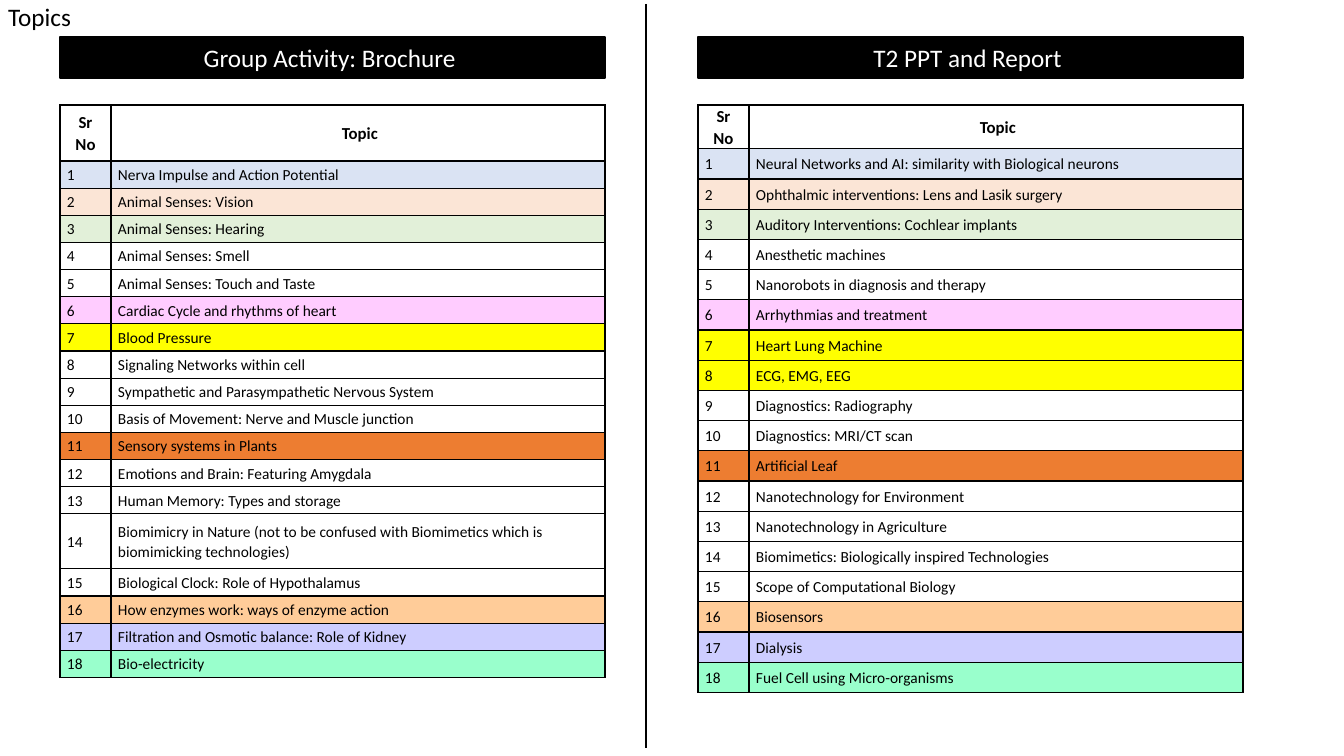
import pptx
import pptx.util
import pptx.dml.color
import pptx.enum.text
import pptx.enum.shapes
import pptx.oxml
import pptx.oxml.ns

RGB = pptx.dml.color.RGBColor
ALIGN = pptx.enum.text.PP_ALIGN
ANCHOR = pptx.enum.text.MSO_ANCHOR
BLACK = RGB(0x00, 0x00, 0x00)
WHITE = RGB(0xFF, 0xFF, 0xFF)
BLUE = RGB(0xDA, 0xE3, 0xF3)
PEACH = RGB(0xFB, 0xE5, 0xD6)
GREEN = RGB(0xE2, 0xF0, 0xD9)
PINK = RGB(0xFF, 0xCC, 0xFF)
YELLOW = RGB(0xFF, 0xFF, 0x00)
ORANGE = RGB(0xED, 0x7D, 0x31)
SAND = RGB(0xFF, 0xCC, 0x99)
LILAC = RGB(0xCD, 0xCD, 0xFF)
MINT = RGB(0x99, 0xFF, 0xCC)

TITLE = "Topics"
HEADS = ("Sr No", " Topic")
FILLS = {1: BLUE, 2: PEACH, 3: GREEN, 6: PINK, 7: YELLOW, 11: ORANGE,
         16: SAND, 17: LILAC, 18: MINT}
PANELS = [
    dict(name="Group Activity: Brochure ", left=60, height=573, head=56,
         tall={14: 55}, fills=FILLS, topics=[
             "Nerva Impulse and Action Potential",
             "Animal Senses: Vision",
             "Animal Senses: Hearing",
             "Animal Senses: Smell",
             "Animal Senses: Touch and Taste",
             "Cardiac Cycle and rhythms of heart",
             "Blood Pressure",
             "Signaling Networks within cell",
             "Sympathetic and Parasympathetic Nervous System",
             "Basis of Movement: Nerve and Muscle junction",
             "Sensory systems in Plants",
             "Emotions and Brain: Featuring Amygdala",
             "Human Memory: Types and storage",
             "Biomimicry in Nature (not to be confused with Biomimetics "
             "which is biomimicking technologies)",
             "Biological Clock: Role of Hypothalamus",
             "How enzymes work: ways of enzyme action",
             "Filtration and Osmotic balance: Role of Kidney",
             "Bio-electricity"]),
    dict(name="T2 PPT and Report ", left=698, height=586, head=42,
         tall={}, fills={**FILLS, 8: YELLOW}, topics=[
             "Neural Networks and AI: similarity with Biological neurons",
             "Ophthalmic interventions: Lens and Lasik surgery",
             "Auditory Interventions: Cochlear implants",
             "Anesthetic machines",
             "Nanorobots in diagnosis and therapy",
             "Arrhythmias and treatment",
             "Heart Lung Machine",
             "ECG, EMG, EEG",
             "Diagnostics: Radiography",
             "Diagnostics: MRI/CT scan",
             "Artificial Leaf",
             "Nanotechnology for Environment",
             "Nanotechnology in Agriculture",
             "Biomimetics: Biologically inspired Technologies",
             "Scope of Computational Biology",
             "Biosensors",
             "Dialysis",
             "Fuel Cell using Micro-organisms"]),
]
COLS = (51, 494)
WIDTH = sum(COLS)
BAR_TOP, BAR_HIGH, GRID_TOP = 37, 41, 105


def px(n):
    return round(n * 914400 / 100.8)


def write(frame, text, size=18, color=BLACK, bold=False, align=ALIGN.LEFT,
          space=None, after=None):
    frame.word_wrap = True
    para = frame.paragraphs[0]
    para.alignment = align
    para.line_spacing = space
    if after is not None:
        para.space_after = pptx.util.Pt(after)
    run = para.add_run()
    run.text = text
    font = run.font
    font.name = "Calibri"
    font.size = pptx.util.Pt(size)
    font.bold = bold
    font.color.rgb = color


def border(cell):
    props = cell._tc.get_or_add_tcPr()
    for i, side in enumerate(("lnL", "lnR", "lnT", "lnB")):
        props.insert(i, pptx.oxml.parse_xml(
            f'<a:{side} {pptx.oxml.ns.nsdecls("a")} w="12700"><a:solidFill>'
            f'<a:srgbClr val="{BLACK}"/></a:solidFill></a:{side}>'))


def fill_cell(cell, text, fill, **form):
    cell.margin_left = cell.margin_right = px(7)
    cell.margin_top = cell.margin_bottom = 0
    cell.vertical_anchor = ANCHOR.MIDDLE
    if fill is None:
        cell.fill.background()
    else:
        cell.fill.solid()
        cell.fill.fore_color.rgb = fill
    border(cell)
    write(cell.text_frame, text, space=1.07, after=8, **form)


def add_bar(slide, panel):
    bar = slide.shapes.add_shape(
        pptx.enum.shapes.MSO_SHAPE.RECTANGLE,
        px(panel["left"]), px(BAR_TOP), px(WIDTH), px(BAR_HIGH))
    bar.shadow.inherit = False
    bar.fill.solid()
    bar.fill.fore_color.rgb = BLACK
    bar.line.color.rgb = BLACK
    bar.line.width = pptx.util.Pt(1)
    write(bar.text_frame, panel["name"], color=WHITE, align=ALIGN.CENTER)


def add_grid(slide, panel):
    topics, tall = panel["topics"], panel["tall"]
    free = panel["height"] - panel["head"] - sum(tall.values())
    high = free / (len(topics) - len(tall))
    grid = slide.shapes.add_table(
        len(topics) + 1, len(COLS), px(panel["left"]), px(GRID_TOP),
        px(WIDTH), px(panel["height"])).table
    grid.first_row = grid.horz_banding = False
    for col, wide in zip(grid.columns, COLS):
        col.width = px(wide)
    grid.rows[0].height = px(panel["head"])
    for cell, text in zip(grid.rows[0].cells, HEADS):
        fill_cell(cell, text, None, size=12, bold=True, align=ALIGN.CENTER)
    for num, topic in enumerate(topics, 1):
        row = grid.rows[num]
        row.height = px(tall.get(num, high))
        for cell, text in zip(row.cells, (str(num), topic)):
            fill_cell(cell, text, panel["fills"].get(num), size=11)


deck = pptx.Presentation()
deck.slide_width = px(1344)
deck.slide_height = px(756)
slide = deck.slides.add_slide(deck.slide_layouts[5])

title = slide.shapes.title
title.left, title.top, title.width, title.height = map(px, (-2, -4, 130, 40))
title.text_frame.vertical_anchor = ANCHOR.TOP
write(title.text_frame, TITLE)

for panel in PANELS:
    add_grid(slide, panel)
    add_bar(slide, panel)

rule = slide.shapes.add_connector(
    pptx.enum.shapes.MSO_CONNECTOR.STRAIGHT, px(646), px(4), px(646), px(748))
rule.line.color.rgb = BLACK
rule.line.width = pptx.util.Pt(1)
rule._element.spPr.append(pptx.oxml.parse_xml(
    f'<a:effectLst {pptx.oxml.ns.nsdecls("a")}/>'))

deck.save("out.pptx")
